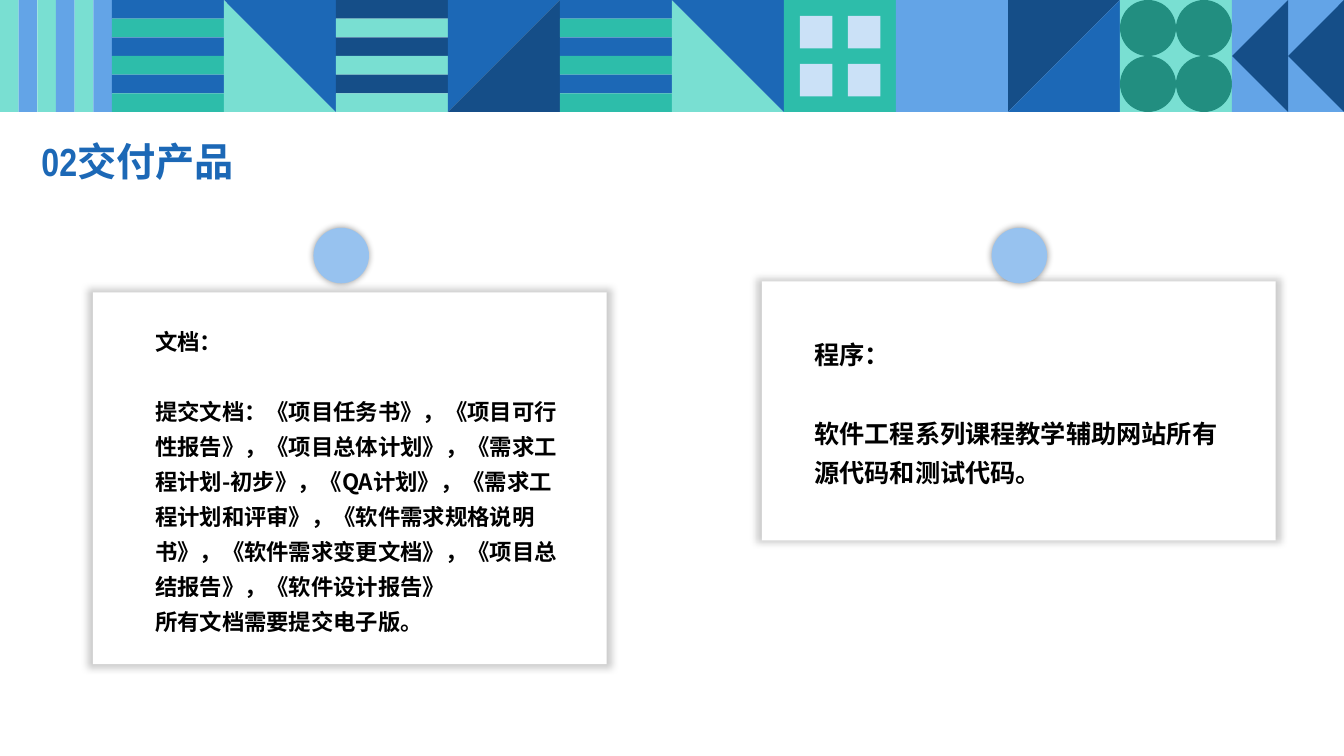
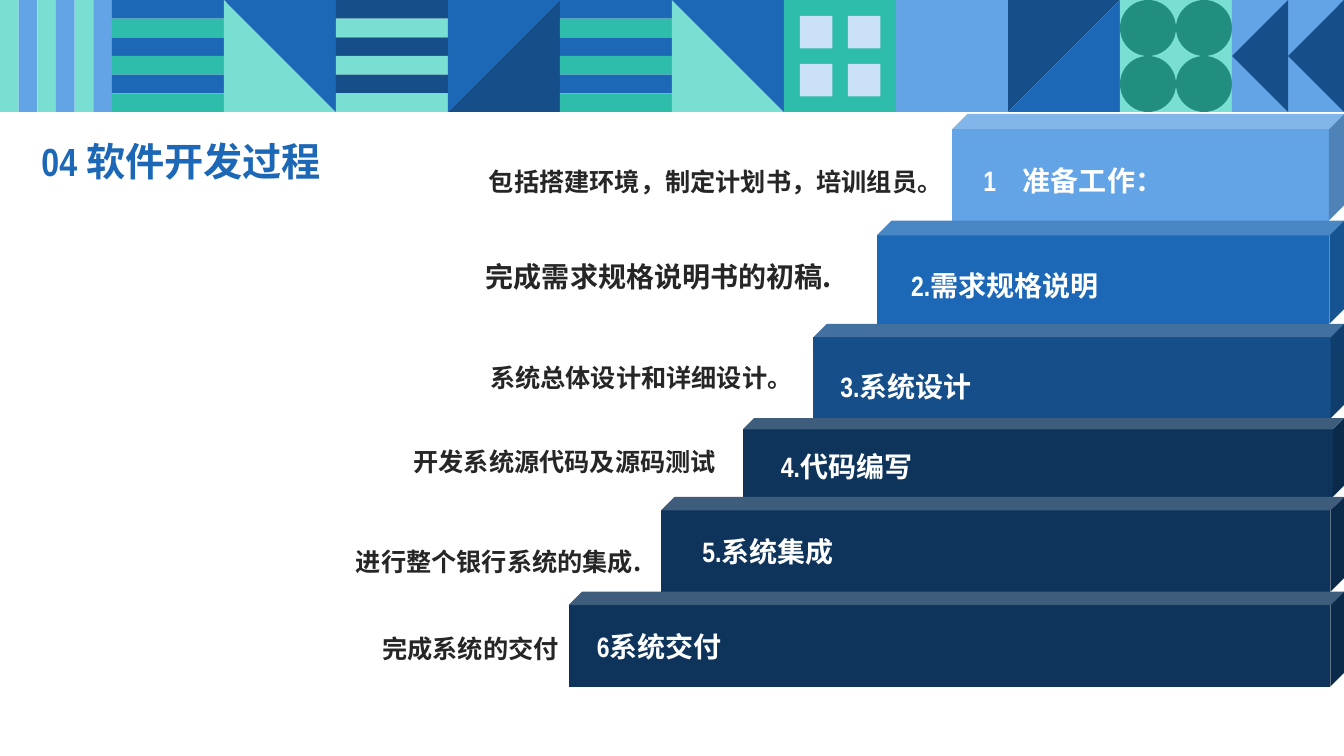
from itertools import cycle, product
from typing import NamedTuple

from lxml.etree import SubElement
from pptx import Presentation
from pptx.dml.color import RGBColor
from pptx.enum.shapes import MSO_SHAPE as Shape
from pptx.enum.text import MSO_ANCHOR as Anchor, MSO_AUTO_SIZE as AutoSize, PP_ALIGN as Align
from pptx.oxml.ns import qn
from pptx.util import Cm, Pt

COLORS = {
    "mint": "79DFD2",
    "teal": "2DBDAA",
    "pine": "228E80",
    "ice": "CBE1F7",
    "pin": "97C2EF",
    "sky": "63A4E7",
    "blue": "1C68B6",
    "navy": "154E88",
    "midnight": "0E345B",
    "white": "FFFFFF",
    "black": "000000",
    "ink": "262626",
}
LATIN = "Arial Narrow"
CHINESE = "Noto Sans CJK SC"
SLIDE_W, SLIDE_H = 33.87, 19.05
TILE = SLIDE_W / 12
STRIPES = 6
CARD_W, CARD_TEXT_W = 12.95, 10.82
PIN_TOP, PIN_SIZE = 5.74, 1.4
STAIRS_TOP = 2.87
LABEL_W, LABEL_H = 7.5, 1.52
DETAIL_W, DETAIL_H = 12.5, 1.24


class Card(NamedTuple):
    left: float
    top: float
    height: float
    inset_x: float
    inset_y: float
    pin_x: float
    text_size: int
    texts: tuple


class Step(NamedTuple):
    label: str
    detail: str
    color: str
    left: float
    height: float
    label_x: float
    label_y: float
    detail_gap: float
    detail_y: float
    detail_size: int = 18


CARDS = [
    Card(left=2.34, top=7.37, height=9.37, inset_x=1.32, inset_y=0.58, pin_x=5.56, text_size=16,
         texts=("文档：",
                "提交文档：《项目任务书》，《项目可行性报告》，《项目总体计划》，"
                "《需求工程计划-初步》，《QA计划》，《需求工程计划和评审》，"
                "《软件需求规格说明书》，《软件需求变更文档》，《项目总结报告》，《软件设计报告》",
                "所有文档需要提交电子版。")),
    Card(left=19.2, top=7.09, height=6.53, inset_x=1.07, inset_y=1.12, pin_x=5.79, text_size=18,
         texts=("程序：", "软件工程系列课程教学辅助网站所有源代码和测试代码。")),
]
STEPS = [
    Step("1\t准备工作：", "包括搭建环境，制定计划书，培训组员。", "sky", 24, 2.69, 0.53, 0.69, 0, 0.97),
    Step("2.需求规格说明", "完成需求规格说明书的初稿.", "blue", 22.1, 2.6, 0.61, 0.66, 0.89, 0.61, 20),
    Step("3.系统设计", "系统总体设计和详细设计。", "navy", 20.5, 2.38, 0.43, 0.61, 0.28, 0.61),
    Step("4.代码编写", "开发系统源代码及源码测试", "midnight", 18.72, 1.98, 0.71, 0.23, 0.43, 0.36),
    Step("5.系统集成", "进行整个银行系统的集成.", "midnight", 16.66, 2.39, 0.79, 0.41, 0.25, 0.89),
    Step("6系统交付", "完成系统的交付", "midnight", 14.33, 2.39, 0.46, 0.41, 0, 0.69),
]


def rgb(color):
    return RGBColor.from_string(COLORS[color])


def add_shadow(shape, opacity, scale):
    effects = shape.element.spPr.find(qn("a:effectLst"))
    shadow = SubElement(effects, qn("a:outerShdw"), blurRad=str(Pt(5)), dist="0",
                        sx=str(scale * 1000), sy=str(scale * 1000),
                        algn="ctr", rotWithShape="0")
    tint = SubElement(shadow, qn("a:srgbClr"), val=COLORS["black"])
    SubElement(tint, qn("a:alpha"), val=str(opacity * 1000))


def draw(shapes, kind, left, top, width, height, color, rotation=0):
    if rotation % 180:
        left, top = left + (width - height) / 2, top + (height - width) / 2
        width, height = height, width
    shape = shapes.add_shape(kind, Cm(left), Cm(top), Cm(width), Cm(height))
    shape.rotation = rotation
    shape.fill.solid()
    shape.fill.fore_color.rgb = rgb(color)
    shape.line.fill.background()
    shape.shadow.inherit = False
    return shape


def add_tab_stop(paragraph, position):
    stops = SubElement(paragraph._p.get_or_add_pPr(), qn("a:tabLst"))
    SubElement(stops, qn("a:tab"), pos=str(Cm(position)), algn="l")


def write(frame, *texts, size, color, font=CHINESE, align=Align.LEFT, spacing=1.3,
          before=0, heading_gap=0, tab=None):
    frame.word_wrap = True
    for index, text in enumerate(texts):
        paragraph = frame.add_paragraph() if index else frame.paragraphs[0]
        paragraph.alignment = align
        paragraph.line_spacing = spacing
        paragraph.space_before = Pt(before)
        paragraph.space_after = Pt(0 if index else heading_gap)
        if tab:
            add_tab_stop(paragraph, tab)
        run = paragraph.add_run()
        run.text = text
        run.font.name = font
        run.font.size = Pt(size)
        run.font.bold = True
        run.font.color.rgb = rgb(color)
        SubElement(run._r.get_or_add_rPr(), qn("a:ea"), typeface=CHINESE)


def add_text(slide, left, top, width, height, *texts, **style):
    box = slide.shapes.add_textbox(Cm(left), Cm(top), Cm(width), Cm(height))
    write(box.text_frame, *texts, **style)


def rows(shapes, left, *colors):
    thickness = TILE / STRIPES
    for index, color in zip(range(STRIPES), cycle(colors)):
        draw(shapes, Shape.RECTANGLE, left, index * thickness, TILE, thickness, color)


def columns(shapes, left, *colors):
    thickness = TILE / STRIPES
    for index, color in zip(range(STRIPES), cycle(colors)):
        draw(shapes, Shape.RECTANGLE, left + index * thickness, 0, thickness, TILE, color)


def falling_diagonal(shapes, left, lower, upper):
    for color, rotation in ((lower, 0), (upper, 180)):
        draw(shapes, Shape.RIGHT_TRIANGLE, left, 0, TILE, TILE, color, rotation)


def rising_diagonal(shapes, left, upper, lower):
    for color, rotation in ((upper, 90), (lower, 270)):
        draw(shapes, Shape.RIGHT_TRIANGLE, left, 0, TILE, TILE, color, rotation)


def plain(shapes, left, ground):
    draw(shapes, Shape.RECTANGLE, left, 0, TILE, TILE, ground)


def windows(shapes, left, ground, pane):
    plain(shapes, left, ground)
    margin, size, pitch = 0.4, 0.82, 1.21
    for row, column in product(range(2), repeat=2):
        draw(shapes, Shape.RECTANGLE, left + margin + column * pitch, margin + row * pitch,
             size, size, pane)


def dots(shapes, left, ground, dot):
    plain(shapes, left, ground)
    size = TILE / 2
    for row, column in product(range(2), repeat=2):
        draw(shapes, Shape.OVAL, left + column * size, row * size, size, size, dot)


def arrows(shapes, left, ground, arrow):
    plain(shapes, left, ground)
    width = TILE / 2
    for column in range(2):
        draw(shapes, Shape.ISOSCELES_TRIANGLE, left + column * width, 0, width, TILE, arrow, 270)


BAND = [
    (columns, "mint", "sky"),
    (rows, "blue", "teal"),
    (falling_diagonal, "mint", "blue"),
    (rows, "navy", "mint"),
    (rising_diagonal, "blue", "navy"),
    (rows, "blue", "teal"),
    (falling_diagonal, "mint", "blue"),
    (windows, "teal", "ice"),
    (plain, "sky"),
    (rising_diagonal, "navy", "blue"),
    (dots, "mint", "pine"),
    (arrows, "sky", "navy"),
]


def add_band(slide, layout):
    band = slide.shapes.add_group_shape()
    for index, (pattern, *colors) in enumerate(BAND):
        pattern(band.shapes, index * TILE, *colors)
    layout.shapes.element.append(band.element)


def add_title(slide, text):
    title = slide.shapes.title
    title.left, title.top, title.width, title.height = Cm(0.79), Cm(3.33), Cm(9.75), Cm(1.6)
    title.text_frame.auto_size = AutoSize.NONE
    title.text_frame.vertical_anchor = Anchor.MIDDLE
    write(title.text_frame, text, size=28, color="blue", font=LATIN, spacing=0.9, before=10)


def add_card(slide, card):
    panel = draw(slide.shapes, Shape.RECTANGLE, card.left, card.top, CARD_W, card.height, "white")
    add_shadow(panel, opacity=20, scale=102)
    add_text(slide, card.left + card.inset_x, card.top + card.inset_y,
             CARD_TEXT_W, card.height - 2 * card.inset_y, *card.texts,
             size=card.text_size, color="black", heading_gap=card.text_size * 1.56)
    pin = draw(slide.shapes, Shape.OVAL, card.left + card.pin_x, PIN_TOP, PIN_SIZE, PIN_SIZE, "pin")
    add_shadow(pin, opacity=40, scale=100)


def add_step(slide, step, top):
    block = draw(slide.shapes, Shape.CUBE, step.left, top,
                 SLIDE_W - step.left, step.height, step.color)
    block.adjustments[0] = 0.142
    add_text(slide, step.left + step.label_x, top + step.label_y, LABEL_W, LABEL_H, step.label,
             size=20, color="white", font=LATIN, spacing=1.5, tab=1)
    add_text(slide, step.left - step.detail_gap - DETAIL_W, top + step.detail_y,
             DETAIL_W, DETAIL_H, step.detail,
             size=step.detail_size, color="ink", align=Align.RIGHT)


def build_deliverables(slide):
    add_title(slide, "02交付产品")
    for card in CARDS:
        add_card(slide, card)


def build_process(slide):
    add_title(slide, "04 软件开发过程")
    top = STAIRS_TOP
    for step in STEPS:
        add_step(slide, step, top)
        top += step.height


def main():
    deck = Presentation()
    deck.slide_width, deck.slide_height = Cm(SLIDE_W), Cm(SLIDE_H)
    layout = deck.slide_layouts.get_by_name("Title Only")
    deliverables = deck.slides.add_slide(layout)
    process = deck.slides.add_slide(layout)
    for footer in list(layout.placeholders)[1:]:
        layout.shapes.element.remove(footer.element)
    add_band(deliverables, layout)
    build_deliverables(deliverables)
    build_process(process)
    deck.save("out.pptx")


if __name__ == "__main__":
    main()
